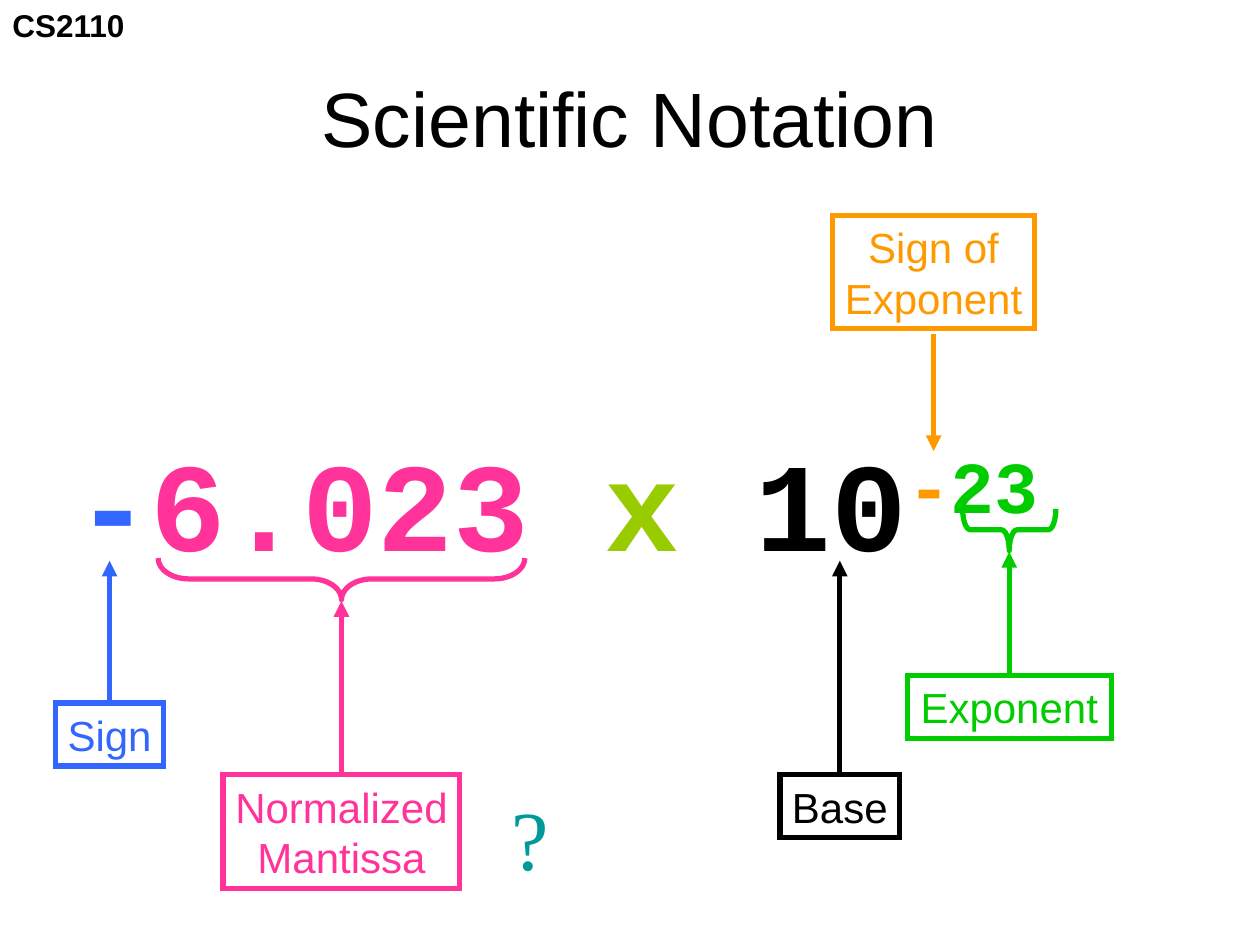
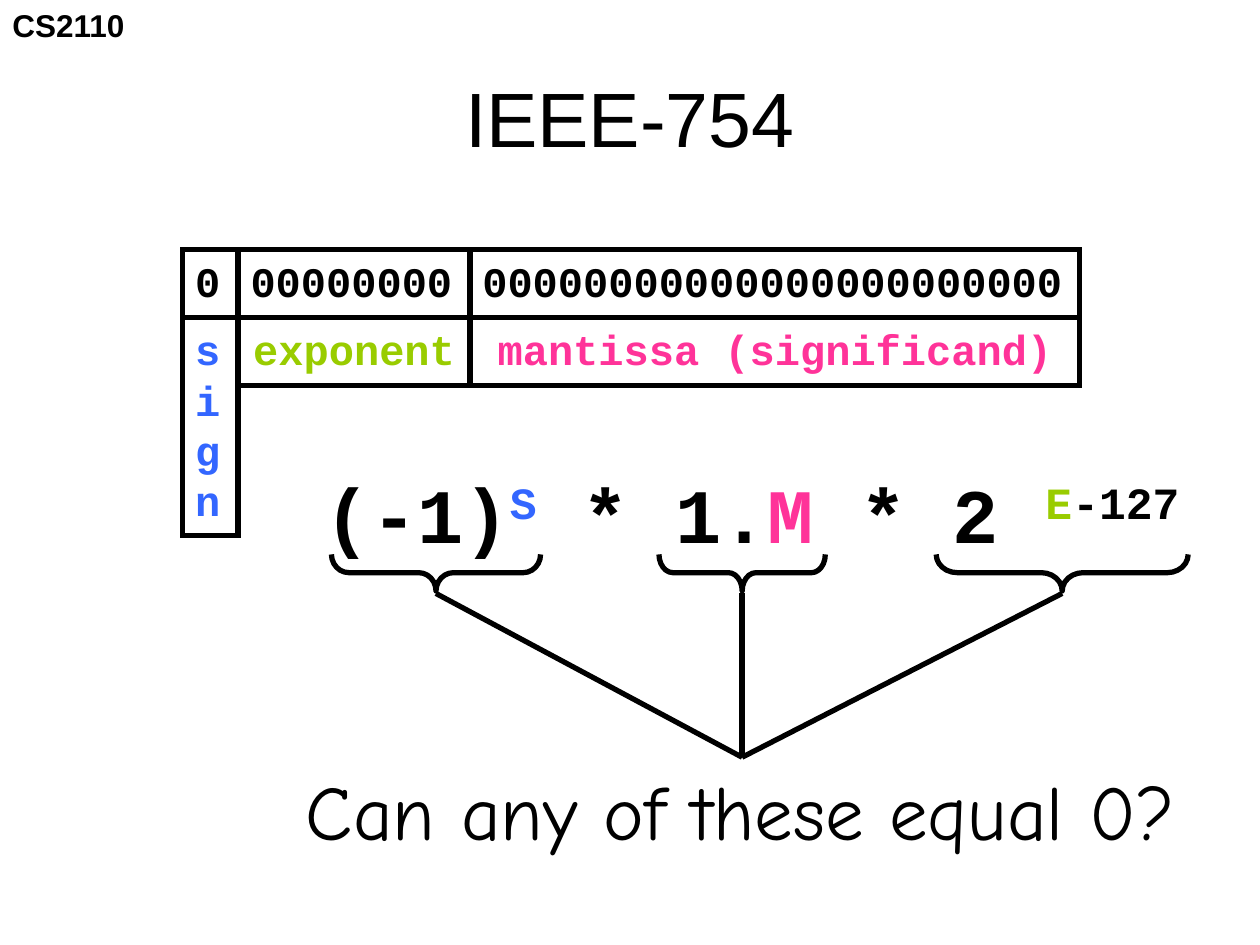
from lxml import etree
from pptx import Presentation
from pptx import util as u
from pptx.dml import color as col
from pptx.enum import shapes, text
from pptx.oxml import ns

hues = {"ink": "000000", "blue": "3366FF", "pink": "FF3399", "lime": "99CC00",
        "gold": "FF9900", "green": "00CC00", "teal": "009999"}
mono = "Courier New"
left, mid = text.PP_ALIGN.LEFT, text.PP_ALIGN.CENTER
deck = Presentation()
deck.slide_width, deck.slide_height = u.Inches(10), u.Inches(7.5)


def write(slide, box, rows, size, face="Arial", hue="ink", bold=False,
          align=left, frame=None):
    area = [u.Inches(n) for n in box]
    if frame:
        shape = slide.shapes.add_shape(shapes.MSO_SHAPE.RECTANGLE, *area)
        shape.shadow.inherit = False
        shape.fill.background()
        shape.line.color.rgb = col.RGBColor.from_string(hues[frame])
        shape.line.width = u.Pt(3)
        edge = shape.line._get_or_add_ln()
        etree.SubElement(edge, ns.qn("a:miter")).set("lim", "800000")
    else:
        shape = slide.shapes.add_textbox(*area)
    body = shape.text_frame
    body.word_wrap = True
    body.auto_size = text.MSO_AUTO_SIZE.NONE
    body.vertical_anchor = text.MSO_ANCHOR.TOP
    body.margin_left = u.Inches(0.1 if align == left else 0.02)
    body.margin_right = u.Inches(0 if align == left else 0.02)
    body.text = "\n".join(rows)
    for para in body.paragraphs:
        para.alignment = align
        font = para.font
        font.size, font.name, font.bold = u.Pt(size), face, bold
        font.color.rgb = col.RGBColor.from_string(hues[hue])
    return shape


def join(slide, start, end, hue, label=None, arrow=False):
    ends = [u.Inches(n) for n in (*start, *end)]
    line = slide.shapes.add_connector(shapes.MSO_CONNECTOR.STRAIGHT, *ends)
    line.line.color.rgb = col.RGBColor.from_string(hues[hue])
    line.line.width = u.Pt(3)
    if label is not None:
        line.begin_connect(label, 0)
    if arrow:
        tip = etree.SubElement(line.line._get_or_add_ln(), ns.qn("a:tailEnd"))
        tip.set("type", "triangle")
    etree.SubElement(line._element.spPr, ns.qn("a:effectLst"))


pages = []
for name in ("Scientific Notation", "IEEE-754"):
    page = deck.slides.add_slide(deck.slide_layouts[6])
    write(page, (0, 0, 1.1, 0.4), ["CS2110"], 18, bold=True)
    head = write(page, (0.5, 0.3, 9, 1.25), [name], 44, align=mid)
    head.text_frame.vertical_anchor = text.MSO_ANCHOR.MIDDLE
    pages.append(page)
sci, ieee = pages

number = write(sci, (0.5, 3.33, 9, 1.9), [""], 72, mono, bold=True)
number.text_frame.paragraphs[0].space_before = u.Pt(18)

labels = [
    (0.44, 5.58, 0.86, 0.5, ["Sign"], "blue", 4.45),
    (1.77, 6.15, 1.88, 0.9, ["Normalized", "Mantissa"], "pink", 4.77),
    (6.19, 6.15, 0.95, 0.5, ["Base"], "ink", 4.45),
    (6.61, 1.71, 1.6, 0.9, ["Sign of", "Exponent"], "gold", None),
    (7.2, 5.36, 1.62, 0.5, ["Exponent"], "green", 4.38),
]
for x, y, wide, high, rows, hue, tip in labels:
    label = write(sci, (x, y, wide, high), rows, 24, hue=hue,
                  align=mid, frame=hue)
    if tip:
        axis = x + wide / 2
        join(sci, (axis, y), (axis, tip), hue, label, arrow=True)
join(sci, (7.41, 2.65), (7.41, 3.58), "gold", arrow=True)
write(sci, (3.96, 6.19, 0.49, 0.9), ["?"], 48, "Times New Roman", "teal")

fields = [
    (1.45, 0.44, 1, list("sign"), "blue", 1.73, left),
    (1.89, 1.84, 8, ["exponent"], "lime", 0.54, mid),
    (3.73, 4.84, 23, ["mantissa (significand)"], "pink", 0.54, mid),
]
for x, wide, bits, rows, hue, high, align in fields:
    write(ieee, (x, 1.98, wide, 0.54), ["0" * bits], 24, mono,
          bold=True, frame="ink")
    write(ieee, (x, 2.52, wide, high), rows, 24, mono, hue, True,
          align, "ink")

value = write(ieee, (2.48, 3.65, 6.98, 0.84), [""], 44, mono, bold=True)

terms = [
    (number, [("-", "blue", 0), ("6.023 ", "pink", 0), ("x", "lime", 0),
              (" 10", "ink", 0), ("-", "gold", 30), ("23", "green", 30)]),
    (value, [("(-1)", "ink", 0), ("S", "blue", 30), (" * 1.", "ink", 0),
             ("M", "pink", 0), (" * 2 ", "ink", 0), ("E", "lime", 30),
             ("-127", "ink", 30)]),
]
for shape, parts in terms:
    para = shape.text_frame.paragraphs[0]
    for part, hue, lift in parts:
        run = para.add_run()
        run.text = part
        run.font.color.rgb = col.RGBColor.from_string(hues[hue])
        if lift:
            run._r.get_or_add_rPr().set("baseline", str(lift * 1000))

ask = write(ieee, (2.33, 6.01, 7.12, 0.84), ["Can any of these equal 0?"],
            44, "Comic Neue")

braces = [
    (sci, 2.71, 4.43, 2.91, 0.33, "pink"),
    (sci, 8.01, 4.04, 0.74, 0.33, "green"),
    (ieee, 3.46, 4.4, 1.66, 0.29, "ink"),
    (ieee, 5.89, 4.4, 1.32, 0.29, "ink"),
    (ieee, 8.43, 4.4, 2, 0.29, "ink"),
]
for page, axis, top, span, deep, hue in braces:
    area = (axis - deep / 2, top + deep / 2 - span / 2, deep, span)
    brace = page.shapes.add_shape(shapes.MSO_SHAPE.RIGHT_BRACE,
                                  *[u.Inches(n) for n in area])
    brace.rotation = 90
    brace.adjustments[0] = span / 12 / deep
    brace.shadow.inherit = False
    brace.fill.background()
    brace.line.color.rgb = col.RGBColor.from_string(hues[hue])
    brace.line.width = u.Pt(3)
    if page is ieee:
        join(ieee, (5.89, 6.01), (axis, 4.71), "ink", ask)

deck.save("out.pptx")
